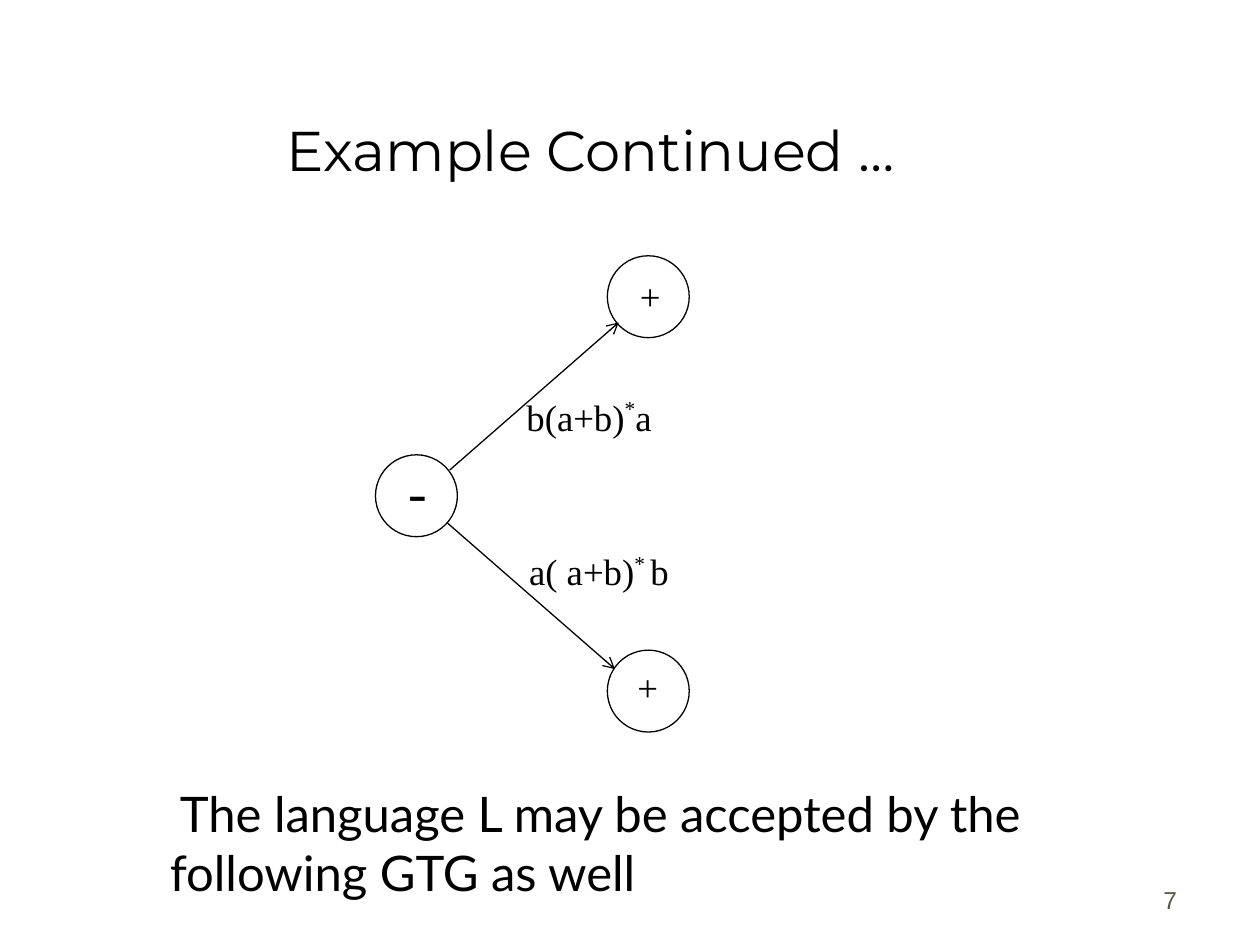
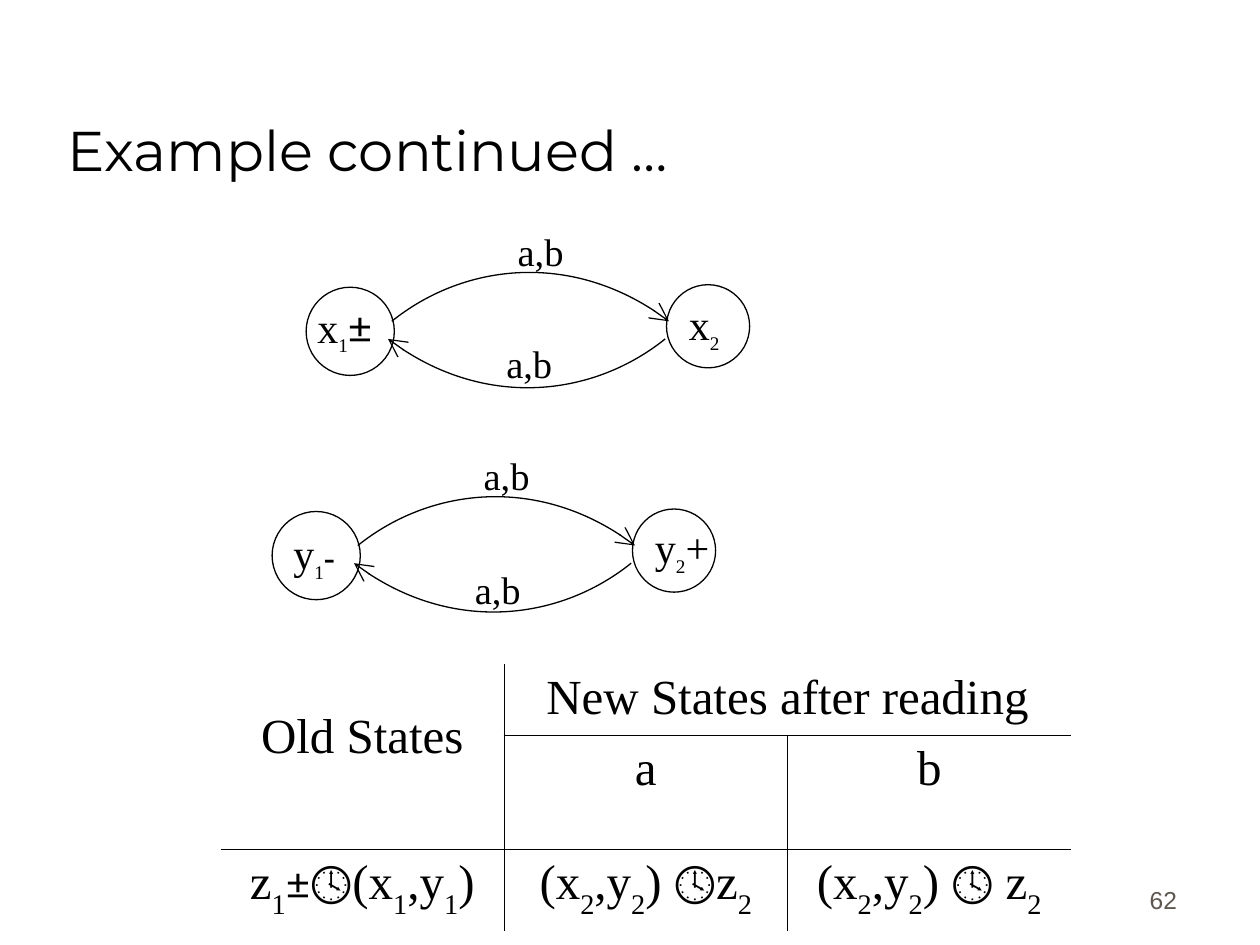
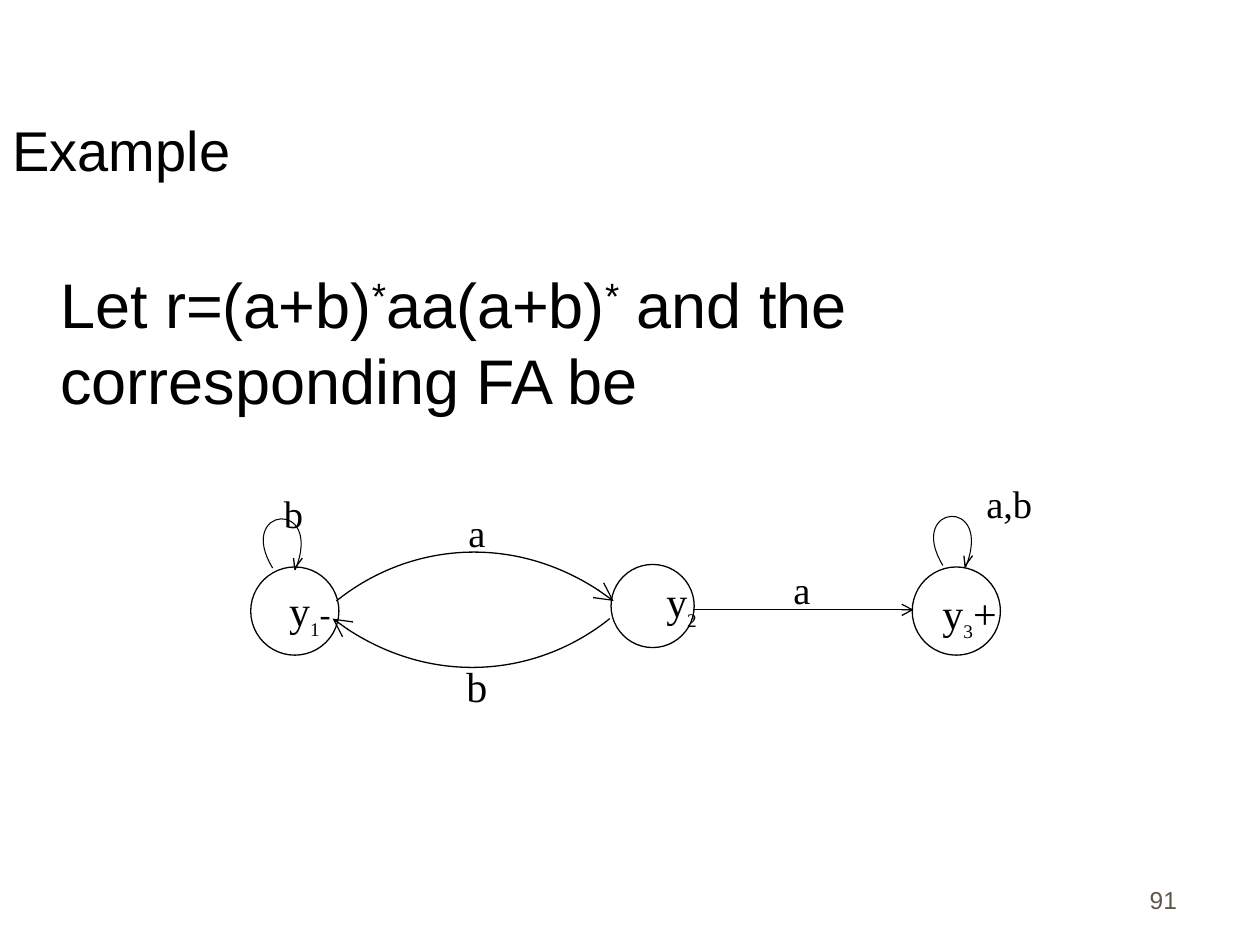
from dataclasses import dataclass

import pptx
import pptx.dml.color
import pptx.enum.shapes
import pptx.enum.text
import pptx.oxml
import pptx.oxml.ns
import pptx.util

PX = 9144  # one px is a hundredth of an inch
COLORS = {"ink": "000000", "paper": "FFFFFF", "page_number": "5E574E"}
SERIF, SANS, LATO, TITLE_FONT = "Times New Roman", "Arial", "Lato", "Montserrat"
ALIGN = {
    "l": pptx.enum.text.PP_ALIGN.LEFT,
    "c": pptx.enum.text.PP_ALIGN.CENTER,
    "r": pptx.enum.text.PP_ALIGN.RIGHT,
}
TOP = pptx.enum.text.MSO_ANCHOR.TOP
BOTTOM = pptx.enum.text.MSO_ANCHOR.BOTTOM

# Offsets of the Bezier points, and of the loop's arrow strokes, from the start
Offsets = list[tuple[int, int]]
ARC: Offsets = [(0, 0), (56, -45), (147, -56), (220, 0)]
LOOP: Offsets = [(0, 0), (-34, -46), (36, -59), (18, 0)]
LOOP_HEAD: list[Offsets] = [[(15, 0), (21, -8)], [(14, -8), (15, 1)]]


@dataclass
class Run:
    text: str
    size: float = 28
    font: str = SERIF
    base: int = 0  # raised or lowered, in percent
    bold: bool = False
    color: str = "ink"


@dataclass
class Label:
    x: int
    y: int
    w: int
    h: int
    runs: list[Run]
    align: str = "l"


@dataclass
class Cell:
    row: int
    col: int
    runs: list[Run]
    sides: str  # edges that carry a line
    rows: int = 1
    cols: int = 1
    top: int = 5


def rgb(name: str) -> pptx.dml.color.RGBColor:
    return pptx.dml.color.RGBColor.from_string(COLORS[name])


def px(n: int) -> int:
    return pptx.util.Emu(n * PX)


def state(name: str, index: str, mark: str = "", mark_size: float = 24,
          mark_font: str = SERIF, bold: bool = False) -> list[Run]:
    runs = [Run(name, 24), Run(index, 19, base=-30)]
    return runs + ([Run(mark, mark_size, mark_font, bold=bold)] if mark else [])


def indexed(text: str) -> list[Run]:
    """Runs for a table cell: digits become subscripts, symbols get their font."""
    runs = []
    for ch in text:
        if ch == "±":
            runs.append(Run(ch, 24, LATO))
        elif ch == "🕓":
            runs.append(Run(ch, font="Cambria"))
        elif ch.isdigit():
            runs.append(Run(ch, base=-30))
        elif runs and runs[-1].font == SERIF and not runs[-1].base:
            runs[-1].text += ch
        else:
            runs.append(Run(ch))
    return runs


def fill_paragraph(p, runs: list[Run], align: str) -> None:
    p.alignment = ALIGN[align]
    for run in runs:
        r = p.add_run()
        r.text = run.text
        r.font.size = pptx.util.Pt(run.size)
        r.font.name = run.font
        r.font.bold = run.bold
        r.font.color.rgb = rgb(run.color)
        if run.base:
            r._r.get_or_add_rPr().set("baseline", str(run.base * 1000))


def add_label(s, label: Label, anchor=TOP):
    box = s.shapes.add_textbox(px(label.x), px(label.y), px(label.w), px(label.h))
    tf = box.text_frame
    tf.word_wrap = True
    tf.vertical_anchor = anchor
    fill_paragraph(tf.paragraphs[0], label.runs, label.align)
    return box


def set_indent(p, left: int, first: int) -> None:
    pPr = p._p.get_or_add_pPr()
    pPr.set("marL", str(px(left)))
    pPr.set("indent", str(px(first)))


def style_line(sp, width: float = 0.75, head: str = "") -> None:
    sp.line.color.rgb = rgb("ink")
    sp.line.width = pptx.util.Pt(width)
    if head:
        ln = sp.line._get_or_add_ln()
        tail = ln.makeelement(pptx.oxml.ns.qn("a:tailEnd"),
                              {"type": "arrow", "w": head, "len": head})
        ln.append(tail)


def add_circle(s, x: int, y: int, d: int) -> None:
    sp = s.shapes.add_shape(pptx.enum.shapes.MSO_SHAPE.OVAL, px(x), px(y), px(d), px(d))
    sp.shadow.inherit = False
    sp.fill.solid()
    sp.fill.fore_color.rgb = rgb("paper")
    style_line(sp)


def add_arrow(s, x1: int, y1: int, x2: int, y2: int) -> None:
    line = s.shapes.add_connector(pptx.enum.shapes.MSO_CONNECTOR.STRAIGHT,
                                  px(x1), px(y1), px(x2), px(y2))
    spPr = line._element.spPr
    style_line(line, head="med")
    spPr.append(spPr.makeelement(pptx.oxml.ns.qn("a:effectLst"), {}))


def add_outline(s, x: int, y: int, offsets: Offsets, turn: int = 1,
                width: float = 0.75, head: str = ""):
    """Open outline from (x, y); turn=-1 rotates it by half a turn."""
    points = [(px(x + turn * dx), px(y + turn * dy)) for dx, dy in offsets]
    builder = s.shapes.build_freeform(*points[0])
    builder.add_line_segments(points[1:], close=False)
    sp = builder.convert_to_shape()
    sp.shadow.inherit = False
    sp.fill.background()
    style_line(sp, width, head)
    return sp


def add_curve(s, x: int, y: int, offsets: Offsets, **style):
    """Outline whose four points become one Bezier segment."""
    sp = add_outline(s, x, y, offsets, **style)
    segments = list(sp._element.iter(pptx.oxml.ns.qn("a:lnTo")))
    outline = segments[0].getparent()
    bezier = outline.makeelement(pptx.oxml.ns.qn("a:cubicBezTo"), {})
    outline.append(bezier)
    for segment in segments:
        bezier.append(segment[0])
        outline.remove(segment)
    return sp


def add_loop(s, x: int, y: int) -> None:
    add_curve(s, x, y, LOOP, width=0.6).rotation = 5
    for stroke in LOOP_HEAD:
        add_outline(s, x, y, stroke)


def add_state_pair(s, x: int, y: int) -> None:
    """Two states joined both ways; (x, y) is the start of the upper arc."""
    add_circle(s, x - 68, y - 27, 70)
    add_circle(s, x + 218, y - 29, 66)
    add_curve(s, x, y, ARC, head="lg")
    add_curve(s, x + 217, y + 14, ARC, turn=-1, head="lg")


def add_table(s, x: int, y: int, col_w: int, row_hs: list[int], cells: list[Cell]) -> None:
    frame = s.shapes.add_table(len(row_hs), 3, px(x), px(y), px(3 * col_w), px(sum(row_hs)))
    table = frame.table
    table.first_row = table.horz_banding = False
    for col in table.columns:
        col.width = px(col_w)
    for row, h in zip(table.rows, row_hs):
        row.height = px(h)
    for spec in cells:
        cell = table.cell(spec.row, spec.col)
        if spec.rows * spec.cols > 1:
            cell.merge(table.cell(spec.row + spec.rows - 1, spec.col + spec.cols - 1))
        cell.margin_top = px(spec.top)
        fill_paragraph(cell.text_frame.paragraphs[0], spec.runs, "c")
        tcPr = cell._tc.get_or_add_tcPr()
        for side in "LRTB":
            paint = (f'<a:solidFill><a:srgbClr val="{COLORS["ink"]}"/></a:solidFill>'
                     if side in spec.sides else "<a:noFill/>")
            tcPr.append(pptx.oxml.parse_xml(
                f'<a:ln{side} {pptx.oxml.ns.nsdecls("a")} w="5715">{paint}</a:ln{side}>'))
    for cell in table.iter_cells():
        cell.fill.background()


def new_slide(prs, title: str, number: str, x: int = 44, align: str = "l",
              font: str = TITLE_FONT):
    s = prs.slides.add_slide(prs.slide_layouts[6])
    s.background.fill.solid()
    s.background.fill.fore_color.rgb = rgb("paper")
    number_run = Run(number, 14, SANS, color="page_number")
    add_label(s, Label(736, 681, 208, 50, [number_run], "r"), BOTTOM)
    add_label(s, Label(x, 25, 850, 125, [Run(title, 32, font)], align), BOTTOM)
    return s


def build_gtg(prs) -> None:
    s = new_slide(prs, "Example Continued …", "7", align="c")
    for x, y in [(298, 361), (482, 516), (482, 203)]:
        add_circle(s, x, y, 65)
    add_arrow(s, 357, 373, 491, 256)
    add_arrow(s, 355, 415, 488, 531)
    labels = [
        Label(408, 308, 314, 71, [Run("b(a+b)", 21), Run("*", 21, base=40), Run("a", 21)]),
        Label(410, 431, 181, 53, [Run("a( a+b)", 21), Run("* ", 21, base=40), Run("b", 21)]),
        Label(498, 212, 98, 68, [Run("+", 21)]),
        Label(314, 357, 98, 68, [Run("-", 32)]),
        Label(496, 523, 98, 68, [Run("+", 21)]),
    ]
    for label in labels:
        add_label(s, label)
    sentence = "The language L may be accepted by the following GTG as well"
    box = add_label(s, Label(125, 617, 767, 104, [Run(sentence, 28, LATO)]))
    set_indent(box.text_frame.paragraphs[0], 0, 8)


def build_transition_table(prs) -> None:
    s = new_slide(prs, "Example continued …", "62")
    add_table(s, 175, 527, 225, [57, 90, 65], [
        Cell(0, 0, [Run("Old States")], "RB", rows=2, top=36),
        Cell(0, 1, [Run("New States after reading")], "LB", cols=2),
        Cell(1, 1, [Run("a")], "LRTB"),
        Cell(1, 2, [Run("b")], "LTB"),
        Cell(2, 0, indexed("z1±🕓(x1,y1)"), "RT"),
        Cell(2, 1, indexed("(x2,y2) 🕓z2"), "LRT"),
        Cell(2, 2, indexed("(x2,y2) 🕓 z2"), "LT"),
    ])
    add_state_pair(s, 311, 255)
    add_state_pair(s, 284, 433)
    for x, y in [(401, 176), (392, 265), (374, 354), (367, 444)]:
        add_label(s, Label(x, y, 101, 41, [Run("a,b", 22)]))
    for label in [
        Label(242, 234, 80, 46, state("x", "1", "±", mark_font=LATO)),
        Label(537, 232, 80, 45, state("x", "2")),
        Label(223, 414, 80, 46, state("y", "1", "-", 19, bold=True)),
        Label(510, 409, 80, 45, state("y", "2", "+")),
    ]:
        add_label(s, label)


def build_fa(prs) -> None:
    s = new_slide(prs, "Example", "91", x=0, font=SANS)
    body = [
        Run("Let r=(a+b)", 36, SANS), Run("*", 36, SANS, 30),
        Run("aa(a+b)", 36, SANS), Run("*", 36, SANS, 30),
        Run(" and the corresponding FA be", 36, SANS),
    ]
    box = add_label(s, Label(0, 206, 894, 456, body))
    set_indent(box.text_frame.paragraphs[0], 38, 0)

    # Automaton
    add_state_pair(s, 267, 477)
    add_circle(s, 724, 450, 70)
    add_loop(s, 219, 451)
    add_loop(s, 751, 449)
    add_arrow(s, 550, 484, 725, 484)
    for label in [
        Label(752, 376, 98, 67, [Run("a,b", 22)], "c"),
        Label(184, 384, 98, 67, [Run("b", 22)], "c"),
        Label(358, 399, 41, 40, [Run("a", 22)], "c"),
        Label(616, 444, 41, 40, [Run("a", 22)], "c"),
        Label(358, 519, 41, 40, [Run("b", 24)], "c"),
        Label(206, 459, 80, 46, state("y", "1", "-", 19), "c"),
        Label(501, 452, 80, 45, state("y", "2"), "c"),
        Label(731, 461, 77, 34, state("y", "3", "+"), "c"),
    ]:
        add_label(s, label)


def main() -> None:
    prs = pptx.Presentation()
    prs.slide_width, prs.slide_height = px(1000), px(750)
    build_gtg(prs)
    build_transition_table(prs)
    build_fa(prs)
    prs.save("out.pptx")


if __name__ == "__main__":
    main()
